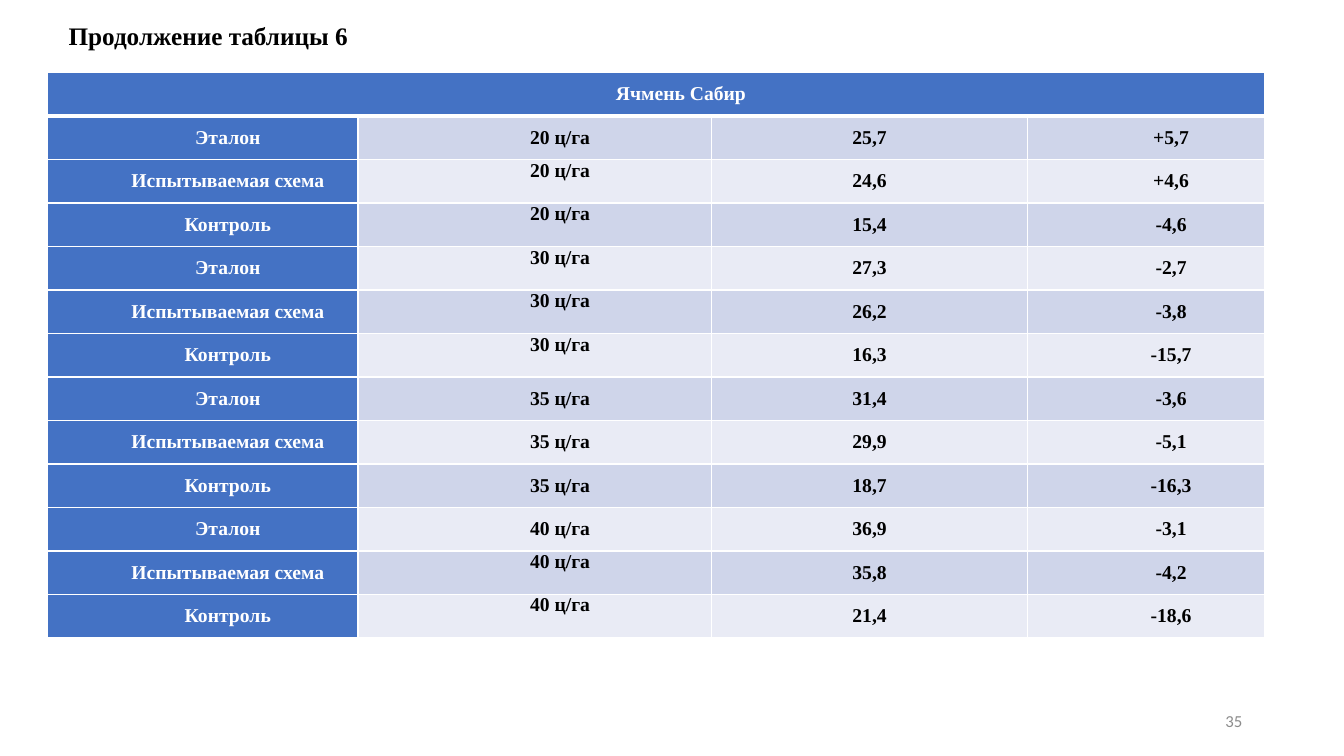
from lxml.etree import SubElement
from pptx import Presentation
from pptx.dml.color import RGBColor
from pptx.enum.text import MSO_ANCHOR, MSO_AUTO_SIZE, PP_ALIGN
from pptx.oxml import parse_xml
from pptx.oxml.ns import nsdecls, qn
from pptx.util import Inches, Pt

BLACK = RGBColor(0x00, 0x00, 0x00)
WHITE = RGBColor(0xFF, 0xFF, 0xFF)
GRAY = RGBColor(0x8C, 0x8C, 0x8C)
BLUE = RGBColor(0x44, 0x72, 0xC4)
BANDS = (RGBColor(0xCF, 0xD5, 0xEA), RGBColor(0xE9, 0xEB, 0xF5))

SERIF = "Times New Roman"
COLUMN_WIDTHS = (3.08, 3.51, 3.13, 2.35)
TABLE_LEFT, TABLE_TOP, TABLE_HEIGHT = 0.47, 0.72, 5.61
PLAIN_COLUMN = 2  # the only column without a left indent
YIELD_COLUMN = 1

CROP = "Ячмень Сабир"
SCHEMES = ("Эталон", "Испытываемая схема", "Контроль")
# Planned yield, then (actual yield, deviation, anchored at top) per scheme
RESULTS = (
    ("20 ц/га", (("25,7", "+5,7", False), ("24,6", "+4,6", True), ("15,4", "-4,6", True))),
    ("30 ц/га", (("27,3", "-2,7", True), ("26,2", "-3,8", True), ("16,3", "-15,7", True))),
    ("35 ц/га", (("31,4", "-3,6", False), ("29,9", "-5,1", False), ("18,7", "-16,3", False))),
    ("40 ц/га", (("36,9", "-3,1", False), ("35,8", "-4,2", True), ("21,4", "-18,6", True))),
)


def write_text(frame, text, size=14, color=BLACK, bold=True, font=SERIF,
               align=PP_ALIGN.CENTER, indent=0):
    para = frame.paragraphs[0]
    para.alignment = align
    if indent:
        properties = para._p.get_or_add_pPr()
        properties.set("marL", str(Inches(indent)))
        properties.set("indent", "0")
    span = para.add_run()
    span.text = text
    span.font.name = font
    span.font.size = Pt(size)
    span.font.bold = bold
    span.font.color.rgb = color


def place(box, left, top, width, height):
    box.left, box.top = Inches(left), Inches(top)
    box.width, box.height = Inches(width), Inches(height)


def set_borders(cell, top=1, bottom=1):
    properties = cell._tc.get_or_add_tcPr()
    widths = {"lnL": 1, "lnR": 1, "lnT": top, "lnB": bottom}
    for position, (side, width) in enumerate(widths.items()):
        line = parse_xml(f'<a:{side} {nsdecls("a")} w="{Pt(width)}"/>')
        fill = SubElement(line, qn("a:solidFill"))
        SubElement(fill, qn("a:srgbClr"), val=str(WHITE))
        properties.insert(position, line)


def format_cell(cell, fill, anchor=MSO_ANCHOR.MIDDLE, **borders):
    cell.fill.solid()
    cell.fill.fore_color.rgb = fill
    cell.vertical_anchor = anchor
    cell.margin_left = cell.margin_right = Inches(0.07)
    cell.margin_top = cell.margin_bottom = 0
    set_borders(cell, **borders)


def add_title(page):
    title = page.shapes.title
    place(title, 0.58, 0.15, 6.67, 0.4)
    frame = title.text_frame
    frame.word_wrap = True
    frame.auto_size = MSO_AUTO_SIZE.SHAPE_TO_FIT_TEXT
    frame.vertical_anchor = MSO_ANCHOR.TOP
    write_text(frame, "Продолжение таблицы 6", size=18, align=PP_ALIGN.LEFT)


def add_results_table(page):
    rows = [(scheme, planned, actual, deviation, at_top)
            for planned, results in RESULTS
            for scheme, (actual, deviation, at_top) in zip(SCHEMES, results)]
    row_count = len(rows) + 1
    table = page.shapes.add_table(
        row_count, len(COLUMN_WIDTHS), Inches(TABLE_LEFT), Inches(TABLE_TOP),
        Inches(sum(COLUMN_WIDTHS)), Inches(TABLE_HEIGHT)).table
    for column, width in zip(table.columns, COLUMN_WIDTHS):
        column.width = Inches(width)
    for row in table.rows:
        row.height = Inches(TABLE_HEIGHT / row_count)

    # Header across all columns
    for cell in table.rows[0].cells:
        format_cell(cell, BLUE, bottom=3)
    header = table.cell(0, 0)
    header.merge(table.cell(0, len(COLUMN_WIDTHS) - 1))
    write_text(header.text_frame, CROP, color=WHITE, indent=0.5)

    # Banded body with a coloured first column
    for number, (*values, at_top) in enumerate(rows, start=1):
        for column, value in enumerate(values):
            cell = table.cell(number, column)
            raised = at_top and column == YIELD_COLUMN
            format_cell(cell, BANDS[(number - 1) % 2] if column else BLUE,
                        anchor=MSO_ANCHOR.TOP if raised else MSO_ANCHOR.MIDDLE,
                        top=3 if number == 1 else 1)
            write_text(cell.text_frame, value, color=BLACK if column else WHITE,
                       indent=0 if column == PLAIN_COLUMN else 0.5)


def add_page_number(page):
    box = page.shapes.add_textbox(0, 0, 0, 0)
    place(box, 9.42, 6.95, 3, 0.4)
    box.text_frame.word_wrap = True
    box.text_frame.vertical_anchor = MSO_ANCHOR.MIDDLE
    write_text(box.text_frame, "35", size=12, color=GRAY, bold=False,
               font="Calibri", align=PP_ALIGN.RIGHT)


def main():
    deck = Presentation()
    deck.slide_width, deck.slide_height = Inches(13.33), Inches(7.5)
    page = deck.slides.add_slide(deck.slide_layouts.get_by_name("Title Only"))
    add_title(page)
    add_results_table(page)
    add_page_number(page)
    deck.save("out.pptx")


if __name__ == "__main__":
    main()
